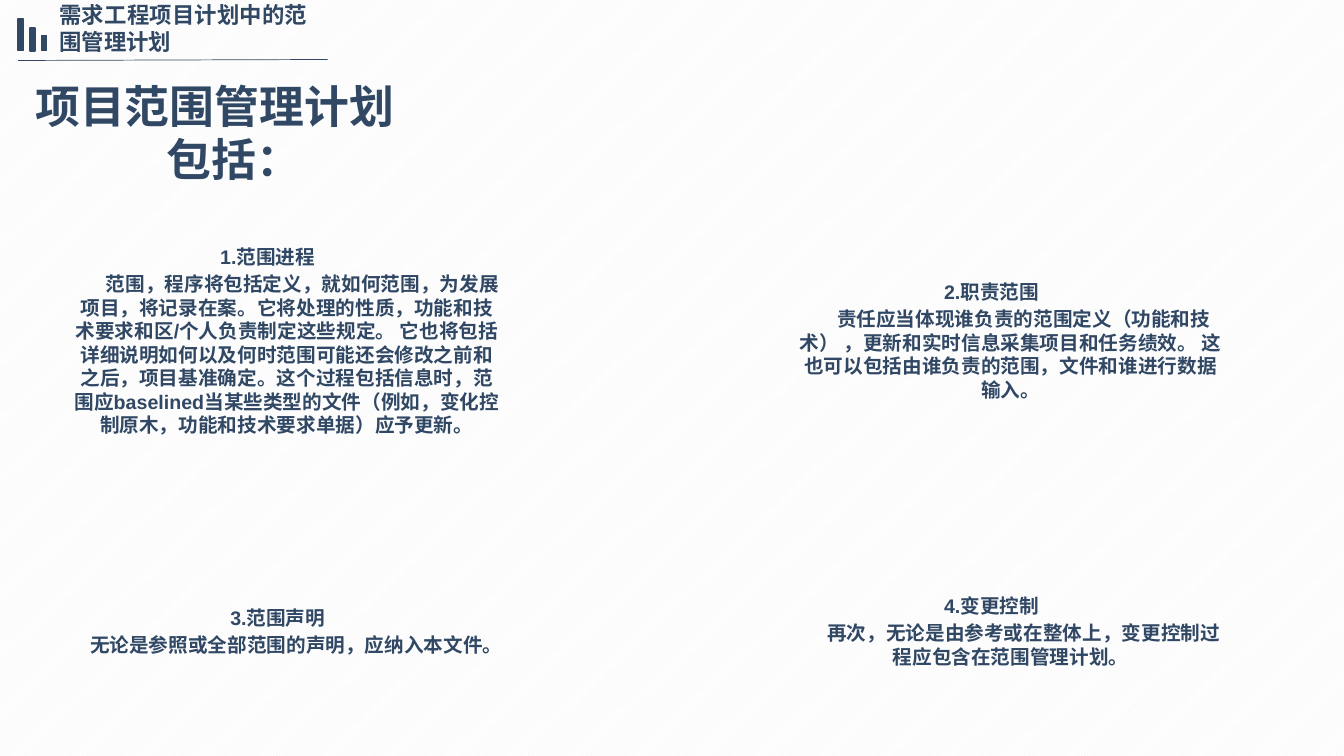
from dataclasses import dataclass

from lxml.etree import SubElement
from pptx import Presentation
from pptx.dml.color import RGBColor
from pptx.enum.dml import MSO_PATTERN
from pptx.enum.lang import MSO_LANGUAGE_ID
from pptx.enum.shapes import MSO_CONNECTOR, MSO_SHAPE
from pptx.enum.text import MSO_ANCHOR, MSO_AUTO_SIZE, PP_ALIGN
from pptx.oxml.ns import qn
from pptx.util import Inches, Pt


@dataclass(frozen=True)
class Theme:
    ink: RGBColor = RGBColor(0x31, 0x48, 0x65)
    stripe: RGBColor = RGBColor(0xF2, 0xF2, 0xF2)
    paper: RGBColor = RGBColor(0xFF, 0xFF, 0xFF)
    font: str = "Arial"
    header_size: int = 16
    title_size: int = 32
    body_size: int = 14
    margin: float = 0.38


class SlideBuilder:
    def __init__(self, presentation, theme):
        self.theme = theme
        self.column = presentation.slide_width / 100
        self.row = presentation.slide_height / 100
        self.slide = presentation.slides.add_slide(presentation.slide_layouts[5])

    def box(self, left, top, width, height):
        return (round(left * self.column), round(top * self.row),
                round(width * self.column), round(height * self.row))

    def background(self):
        fill = self.slide.background.fill
        fill.patterned()
        fill.pattern = MSO_PATTERN.DARK_UPWARD_DIAGONAL
        fill.fore_color.rgb = self.theme.stripe
        fill.back_color.rgb = self.theme.paper

    def line(self, left, top, right, bottom):
        connector = self.slide.shapes.add_connector(
            MSO_CONNECTOR.STRAIGHT, *self.box(left, top, right, bottom))
        connector.line.color.rgb = self.theme.ink
        connector.line.width = Pt(0.5)
        SubElement(connector._element.spPr, qn("a:effectLst"))

    def bar(self, left, top, width, height):
        shape = self.slide.shapes.add_shape(
            MSO_SHAPE.RECTANGLE, *self.box(left, top, width, height))
        shape.shadow.inherit = False
        shape.fill.solid()
        shape.fill.fore_color.rgb = self.theme.ink
        shape.line.color.rgb = self.theme.ink
        shape.line.width = Pt(1)

    def styled_run(self, paragraph, text, size, alignment=PP_ALIGN.CENTER):
        paragraph.alignment = alignment
        run = paragraph.add_run()
        run.text = text
        font = run.font
        font.name = self.theme.font
        font.size = Pt(size)
        font.bold = True
        font.color.rgb = self.theme.ink
        font.language_id = MSO_LANGUAGE_ID.SIMPLIFIED_CHINESE

    def space(self, paragraph, first_line=0.0):
        properties = paragraph._p.get_or_add_pPr()
        properties.set("marL", str(Inches(self.theme.margin)))
        properties.set("indent", str(Inches(first_line - self.theme.margin)))
        before = SubElement(properties, qn("a:spcBef"))
        SubElement(before, qn("a:spcPct")).set("val", "20000")

    def text_frame(self, *area):
        frame = self.slide.shapes.add_textbox(*self.box(*area)).text_frame
        frame.word_wrap = True
        return frame

    def header(self, text, *area):
        frame = self.text_frame(*area)
        frame.auto_size = MSO_AUTO_SIZE.SHAPE_TO_FIT_TEXT
        self.styled_run(frame.paragraphs[0], text, self.theme.header_size, PP_ALIGN.JUSTIFY)

    def title(self, text, *area):
        title = self.slide.shapes.title
        title.left, title.top, title.width, title.height = self.box(*area)
        frame = title.text_frame
        frame.word_wrap = True
        frame.auto_size = MSO_AUTO_SIZE.NONE
        frame.vertical_anchor = MSO_ANCHOR.MIDDLE
        self.space(frame.paragraphs[0])
        self.styled_run(frame.paragraphs[0], text, self.theme.title_size)

    def section(self, heading, body, first_line, *area):
        frame = self.text_frame(*area)
        frame.vertical_anchor = MSO_ANCHOR.MIDDLE
        lines = ((frame.paragraphs[0], heading, 0.0),
                 (frame.add_paragraph(), body, first_line))
        for paragraph, text, start in lines:
            self.space(paragraph, start)
            self.styled_run(paragraph, text, self.theme.body_size)


SECTIONS = (
    ("1.范围进程",
     "范围，程序将包括定义，就如何范围，为发展项目，将记录在案。"
     "它将处理的性质，功能和技术要求和区/个人负责制定这些规定。 "
     "它也将包括详细说明如何以及何时范围可能还会修改之前和之后，项目基准确定。"
     "这个过程包括信息时，范围应baselined当某些类型的文件"
     "（例如，变化控制原木，功能和技术要求单据）应予更新。",
     0.69, 1.73, 28.53),
    ("2.职责范围",
     "责任应当体现谁负责的范围定义（功能和技术） ，更新和实时信息采集项目和任务绩效。 "
     "这也可以包括由谁负责的范围，文件和谁进行数据输入。",
     0.64, 55.59, 28.53),
    ("3.范围声明", "无论是参照或全部范围的声明，应纳入本文件。", 0.37, 2.48, 66.93),
    ("4.变更控制",
     "再次，无论是由参考或在整体上，变更控制过程应包含在范围管理计划。",
     0.64, 55.59, 66.93),
)
BAR_TOPS = (2.53, 3.73, 4.67)
BAR_BASE = 6.73

presentation = Presentation()
presentation.slide_width = Inches(13.33)
presentation.slide_height = Inches(7.5)
builder = SlideBuilder(presentation, Theme())
builder.background()
builder.line(1.35, 8, 24.38, 7.87)
builder.header("需求工程项目计划中的范围管理计划", 3.68, -0.53, 19.95, 8.53)
for index, top in enumerate(BAR_TOPS):
    builder.bar(1.35 + 0.87 * index, top, 0.38, BAR_BASE - top)
builder.title("项目范围管理计划包括：", 1.35, 10, 29.26, 14.93)
for heading, body, first_line, left, top in SECTIONS:
    builder.section(heading, body, first_line, left, top, 36.38, 33.07)
presentation.save("out.pptx")
